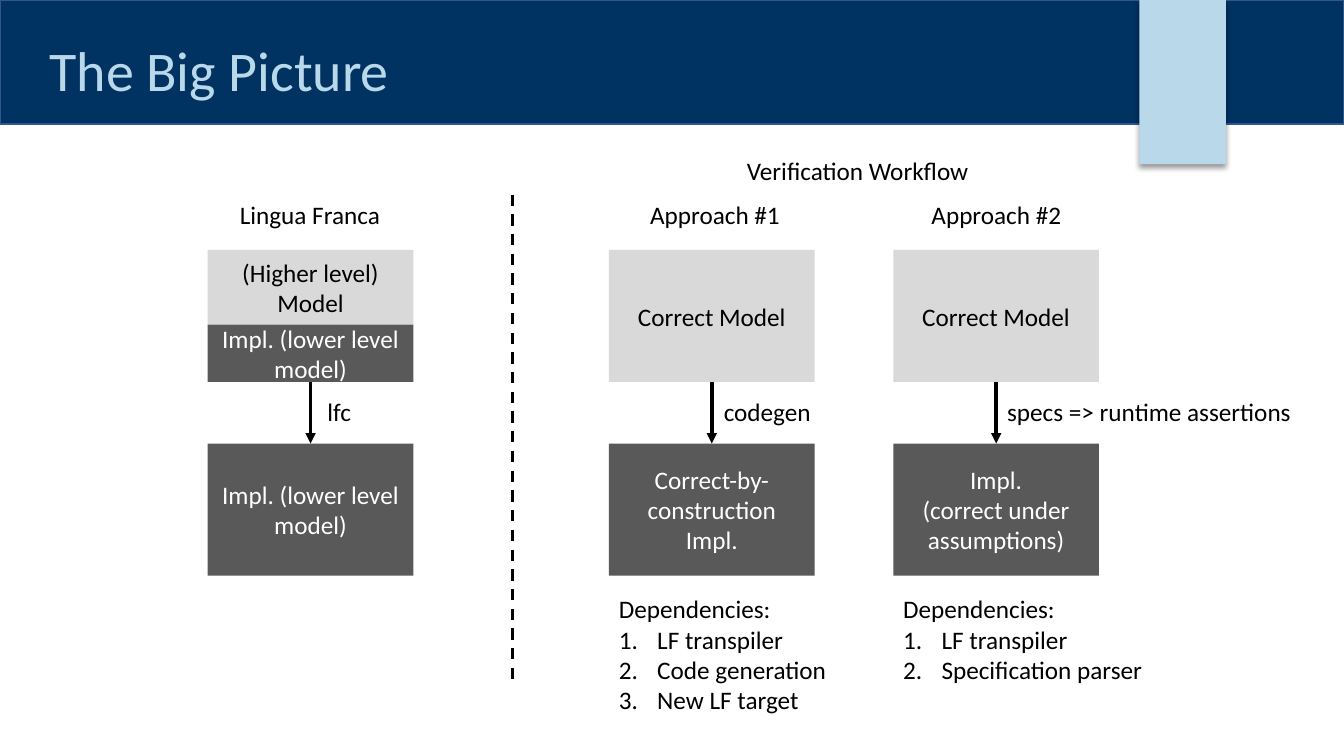
from pptx import Presentation
from pptx.dml.color import RGBColor
from pptx.enum.dml import MSO_LINE
from pptx.enum.shapes import MSO_CONNECTOR as CONN, MSO_SHAPE as SHAPE
from pptx.enum.text import MSO_ANCHOR as ANCHOR, MSO_AUTO_SIZE as AUTO, PP_ALIGN as ALIGN
from pptx.oxml import parse_xml
from pptx.oxml.ns import nsdecls
from pptx.util import Inches, Pt

rgb = RGBColor.from_string
NAVY, SKY, PALE, DARK = "003262", "B9D9EB", "D9D9D9", "595959"
BLACK, WHITE = "000000", "FFFFFF"

prs = Presentation()
prs.slide_width, prs.slide_height = Inches(13.33), Inches(7.5)
s = prs.slides.add_slide(prs.slide_layouts[5])


def write(sp, lines, color=BLACK, size=18, **fmt):
    """Fill a shape with paragraphs that share one format."""
    tf = sp.text_frame
    tf.text = "\n".join(lines)
    for p in tf.paragraphs:
        for name, value in fmt.items():
            setattr(p, name, value)
        for name, value in {"name": "Calibri", "size": Pt(size)}.items():
            setattr(p.runs[0].font, name, value)
        p.runs[0].font.color.rgb = rgb(color)
    return tf


def add_rect(x, y, w, h, fill):
    sp = s.shapes.add_shape(SHAPE.RECTANGLE, *map(Inches, (x, y, w, h)))
    sp.shadow.inherit = False
    sp.fill.solid()
    sp.fill.fore_color.rgb = rgb(fill)
    sp.line.fill.background()
    return sp


# Header band, behind the title
band = add_rect(0, 0, 13.33, 1.23, NAVY)
band.line.color.rgb = rgb("325491")
band.line.width = Pt(1)
title = s.shapes.title
title._element.addprevious(band._element)
for name, value in {"left": 0.39, "top": 0.15, "width": 10.51, "height": 0.93}.items():
    setattr(title, name, Inches(value))
tf = write(title, ["The Big Picture"], SKY, 40, alignment=ALIGN.LEFT, line_spacing=0.9)
tf.auto_size, tf.vertical_anchor = AUTO.NONE, ANCHOR.BOTTOM

# Ribbon with a soft shadow
ribbon = add_rect(11.3, 0, 0.86, 1.63, SKY)
ribbon._element.spPr.find("{*}effectLst").append(parse_xml(
    f'<a:outerShdw {nsdecls("a")} blurRad="{Pt(4)}" dist="{Pt(3)}" dir="5400000" '
    'algn="t" rotWithShape="0"><a:srgbClr val="000000"><a:alpha val="40000"/>'
    '</a:srgbClr></a:outerShdw>'))

# Column grid: upper blocks, arrow, lower block
BLOCK_W, BLOCK_H, SPLIT_H = 2.04, 1.31, 0.74
UPPER_Y, LOWER_Y = 2.48, 4.4
UPPER_END = UPPER_Y + BLOCK_H
LOW_LEVEL = ["Impl. (lower level model)"]
CORRECT = [(0, BLOCK_H, PALE, BLACK, ["Correct Model"])]
columns = [
    (2.06, [(0, SPLIT_H, PALE, BLACK, ["(Higher level) Model"]),
            (SPLIT_H, BLOCK_H - SPLIT_H, DARK, WHITE, LOW_LEVEL)], LOW_LEVEL),
    (6.04, CORRECT, ["Correct-by-construction", "Impl."]),
    (8.86, CORRECT, ["Impl.", "(correct under", "assumptions)"]),
]
lines = [(5.08, 1.93, 6.77, 2)]
for x, upper, lower in columns:
    blocks = [(UPPER_Y + dy, *rest) for dy, *rest in upper]
    blocks.append((LOWER_Y, BLOCK_H, DARK, WHITE, lower))
    for y, h, fill, color, text in blocks:
        sp = add_rect(x, y, BLOCK_W, h, fill)
        tf = write(sp, text, color, alignment=ALIGN.CENTER)
        tf.word_wrap, tf.vertical_anchor = True, ANCHOR.MIDDLE
    lines.append((x + BLOCK_W / 2, UPPER_END, LOWER_Y, 2.5))

# Dashed divider first, then the arrows
for i, (x, y1, y2, width) in enumerate(lines):
    line = s.shapes.add_connector(CONN.STRAIGHT, *map(Inches, (x, y1, x, y2)))
    line.line.color.rgb = rgb(BLACK)
    line.line.width = Pt(width)
    if i == 0:
        line.line.dash_style = MSO_LINE.DASH
    else:
        line.line._get_or_add_ln().append(
            parse_xml(f'<a:tailEnd {nsdecls("a")} type="triangle"/>'))
    line._element.spPr.append(parse_xml(f'<a:effectLst {nsdecls("a")}/>'))

# Headings, arrow labels and dependency lists
HEAD_Y, LABEL_Y, DEPS_Y = 1.93, 3.88, 5.84
labels = [
    (7.31, 1.49, 2.43, ["Verification Workflow"]),
    (2.28, HEAD_Y, 1.61, ["Lingua Franca"]),
    (6.35, HEAD_Y, 1.5, ["Approach #1"]),
    (9.14, HEAD_Y, 1.5, ["Approach #2"]),
    (3.15, LABEL_Y, 0.44, ["lfc"]),
    (7.08, LABEL_Y, 1.08, ["codegen"]),
    (9.89, LABEL_Y, 3.05, ["specs => runtime assertions"]),
    (6.04, DEPS_Y, 2.28, ["Dependencies:", "LF transpiler", "Code generation", "New LF target"]),
    (8.86, DEPS_Y, 2.59, ["Dependencies:", "LF transpiler", "Specification parser"]),
]
for x, y, w, text in labels:
    h = 0.4 if len(text) == 1 else 1.31
    tf = write(s.shapes.add_textbox(*map(Inches, (x, y, w, h))), text)
    tf.word_wrap, tf.auto_size = False, AUTO.SHAPE_TO_FIT_TEXT
    for p in tf.paragraphs[1:]:
        pPr = p._p.get_or_add_pPr()
        pPr.set("marL", str(Inches(0.38)))
        pPr.set("indent", str(-Inches(0.38)))
        pPr.append(parse_xml(f'<a:buAutoNum {nsdecls("a")} type="arabicPeriod"/>'))

prs.save("out.pptx")
